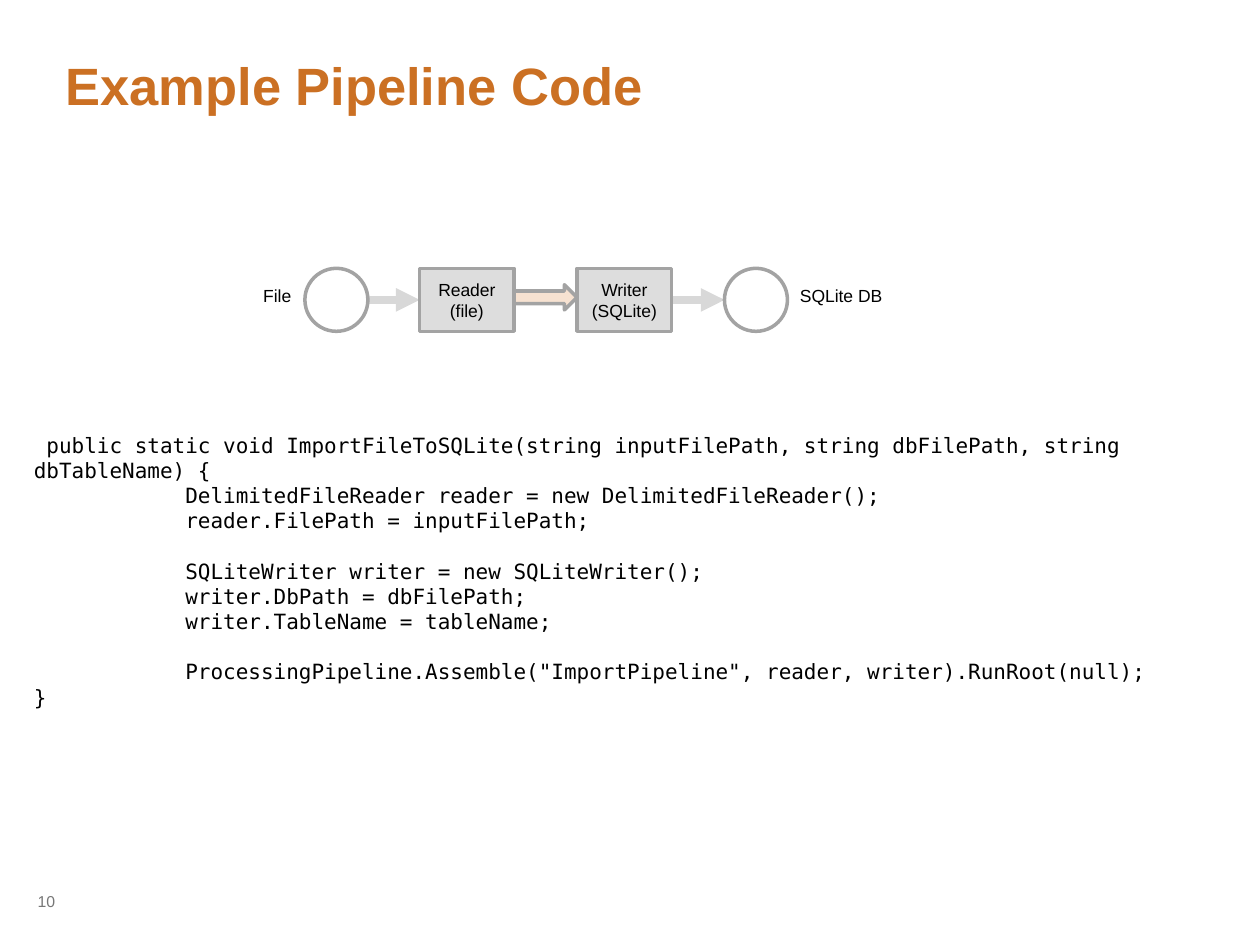
from pptx import Presentation
from pptx.dml.color import RGBColor
from pptx.enum.shapes import MSO_CONNECTOR, MSO_SHAPE
from pptx.enum.text import MSO_ANCHOR, PP_ALIGN
from pptx.oxml import parse_xml
from pptx.oxml.ns import nsdecls
from pptx.util import Inches, Pt


def color(hex_value):
    return RGBColor.from_string(hex_value)


def write(shape, lines, size, hex_value="000000", align=PP_ALIGN.LEFT, font="Arial"):
    frame = shape.text_frame
    frame.word_wrap = True
    frame.text = "\n".join(lines)
    for paragraph in frame.paragraphs:
        paragraph.alignment = align
        paragraph.font.name = font
        paragraph.font.size = Pt(size)
        paragraph.font.color.rgb = color(hex_value)
    return frame


prs = Presentation()
prs.slide_width = Inches(10)
prs.slide_height = Inches(7.5)
slide = prs.slides.add_slide(prs.slide_layouts[6])
shapes = slide.shapes

title = shapes.add_textbox(Inches(0.52), Inches(0.5), Inches(8.97), Inches(1.08))
title_frame = write(title, ["Example Pipeline Code"], 30, "CB7023")
title_frame.margin_left = title_frame.margin_right = 0
title_frame.margin_top = title_frame.margin_bottom = 0
title_frame.paragraphs[0].line_spacing = 0.85
title_frame.paragraphs[0].font.bold = True

page_number = shapes.add_textbox(Inches(0.2), Inches(7.03), Inches(0.67), Inches(0.25))
write(page_number, ["10"], 9, "777777")

code_blocks = [
    [
        " public static void ImportFileToSQLite(string inputFilePath, string dbFilePath, string dbTableName) {",
        "            DelimitedFileReader reader = new DelimitedFileReader();",
        "            reader.FilePath = inputFilePath;",
    ],
    [
        "            SQLiteWriter writer = new SQLiteWriter();",
        "            writer.DbPath = dbFilePath;",
        "            writer.TableName = tableName;",
    ],
    [
        '            ProcessingPipeline.Assemble("ImportPipeline", reader, writer).RunRoot(null);',
        "}",
    ],
]
code = shapes.add_textbox(Inches(0.17), Inches(3.38), Inches(9.83), Inches(2.12))
code_lines = [line for block in code_blocks for line in block]
code_frame = write(code, code_lines, 12, font="DejaVu Sans Mono")
block_start = 0
for block in code_blocks[:-1]:
    block_start += len(block)
    code_frame.paragraphs[block_start].space_before = Pt(14.4)

for start, end in [(2.92, 3.33), (5.33, 5.75)]:
    flow = shapes.add_connector(
        MSO_CONNECTOR.STRAIGHT, Inches(start), Inches(2.38), Inches(end), Inches(2.38)
    )
    flow.line.color.rgb = color("D8D8D8")
    flow.line.width = Pt(4.5)
    flow.line._get_or_add_ln().append(parse_xml(f'<a:tailEnd {nsdecls("a")} type="triangle"/>'))
    flow._element.spPr.append(parse_xml(f'<a:effectLst {nsdecls("a")}/>'))

stages = [
    (MSO_SHAPE.OVAL, 2.42, 2.13, 0.5, 0.5, "FFFFFF", []),
    (MSO_SHAPE.RIGHT_ARROW, 4.58 - 0.5, 2.26, 0.5, 0.2, "F7E2D1", []),
    (MSO_SHAPE.OVAL, 5.75, 2.13, 0.5, 0.5, "FFFFFF", []),
    (MSO_SHAPE.RECTANGLE, 3.33, 2.13, 0.75, 0.5, "DDDDDD", ["Reader (file)"]),
    (MSO_SHAPE.RECTANGLE, 4.58, 2.13, 0.75, 0.5, "DDDDDD", ["Writer", "(SQLite)"]),
]
for preset, left, top, width, height, fill, lines in stages:
    stage = shapes.add_shape(preset, Inches(left), Inches(top), Inches(width), Inches(height))
    stage.shadow.inherit = False
    stage.fill.solid()
    stage.fill.fore_color.rgb = color(fill)
    stage.line.color.rgb = color("A3A3A3")
    stage.line.width = Pt(2)
    if lines:
        write(stage, lines, 10, align=PP_ALIGN.CENTER).vertical_anchor = MSO_ANCHOR.MIDDLE

for name, left, width, align in [
    ("File", 1.83, 0.58, PP_ALIGN.RIGHT),
    ("SQLite DB", 6.25, 0.92, PP_ALIGN.LEFT),
]:
    endpoint = shapes.add_textbox(Inches(left), Inches(2.21), Inches(width), Inches(0.27))
    write(endpoint, [name], 10, align=align)

prs.save("out.pptx")
